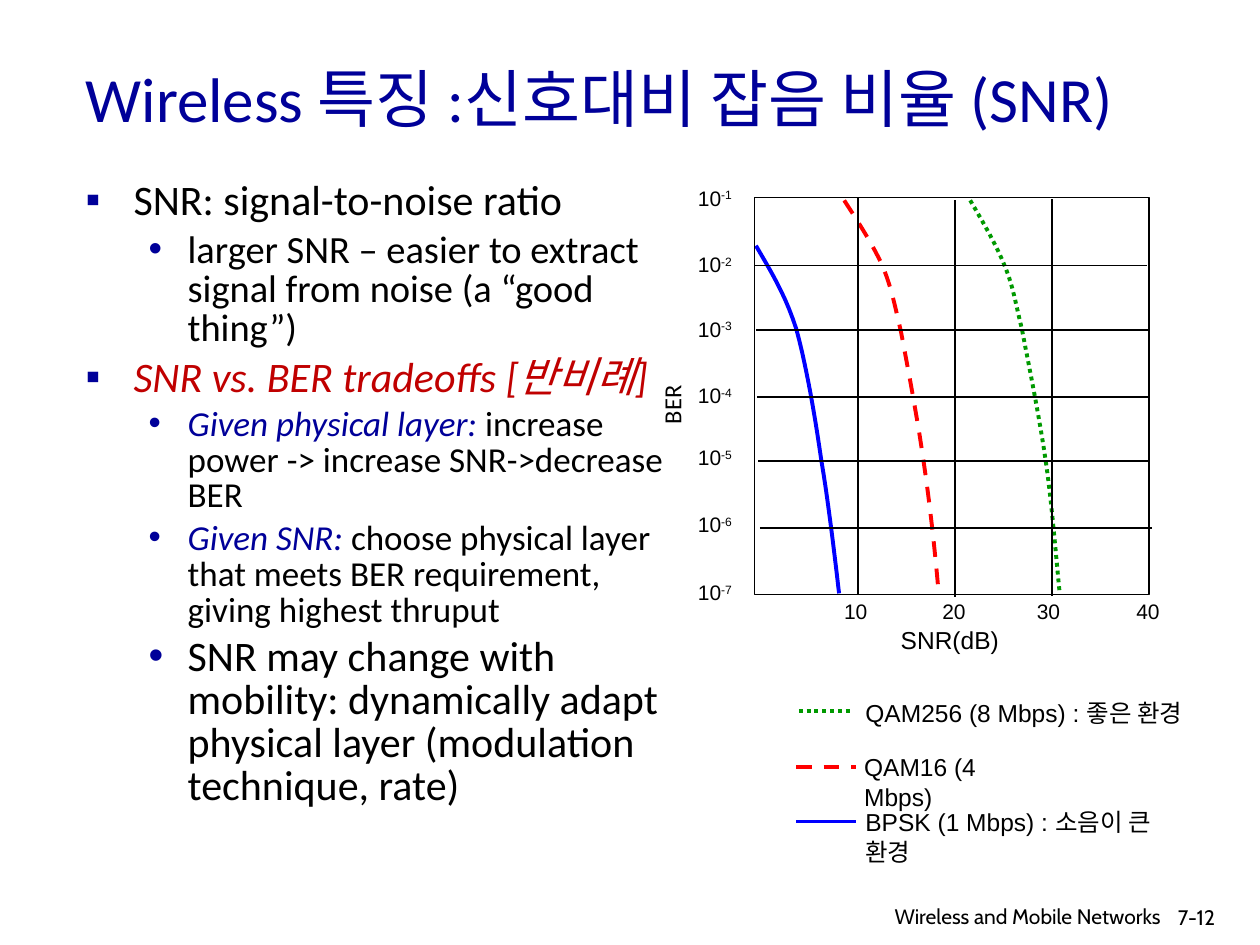
import pptx
import pptx.util
import pptx.dml.color
import pptx.enum.dml
import pptx.enum.shapes
import pptx.enum.text
import pptx.oxml
import pptx.oxml.ns
from lxml import etree

Inches, Pt = pptx.util.Inches, pptx.util.Pt
RGB = pptx.dml.color.RGBColor
DASH = pptx.enum.dml.MSO_LINE
ALIGN = pptx.enum.text.PP_ALIGN
FIT = pptx.enum.text.MSO_AUTO_SIZE
NAVY, BLACK, CRIMSON = RGB(0, 0, 0x99), RGB(0, 0, 0), RGB(0xC0, 0, 0)
BLUE, RED, GREEN = RGB(0, 0, 0xFF), RGB(0xFF, 0, 0), RGB(0, 0x99, 0)

TITLE = "Wireless 특징 :신호대비 잡음 비율 (SNR)"
# level, size, runs of (text, colour, italic)
BODY = [
    (0, 24, [("SNR: signal-to-noise ratio", BLACK, False)]),
    (1, 22, [("larger SNR – easier to extract signal from noise "
              "(a “good thing”)", BLACK, False)]),
    (0, 24, [("SNR vs. BER tradeoffs [반비례]", CRIMSON, True)]),
    (1, 20, [("Given physical layer:", NAVY, True),
             (" increase power -> increase SNR->decrease BER", BLACK, False)]),
    (1, 20, [("Given SNR:", NAVY, True),
             (" choose physical layer that meets BER requirement, "
              "giving highest thruput", BLACK, False)]),
    (1, 24, [("SNR may change with mobility: dynamically adapt physical "
              "layer (modulation technique, rate)", BLACK, False)]),
]
LEVELS = [("▪", 0.38, 0.38), ("•", 0.81, 0.31)]  # bullet, margin, hang

# Bezier points: a start, then two controls and an end per segment
CURVES = [
    (BLUE, None, [(6, 1.95), (6.11, 2.14), (6.23, 2.33), (6.32, 2.61),
                  (6.4, 2.9), (6.47, 3.31), (6.52, 3.66),
                  (6.58, 4.01), (6.64, 4.54), (6.66, 4.71)]),
    (RED, DASH.DASH, [(6.7, 1.59), (6.81, 1.76), (6.92, 1.93), (7, 2.1),
                      (7.07, 2.27), (7.09, 2.37), (7.15, 2.63),
                      (7.2, 2.89), (7.28, 3.31), (7.33, 3.66),
                      (7.38, 4), (7.42, 4.36), (7.45, 4.71)]),
    (GREEN, DASH.ROUND_DOT, [(7.7, 1.59), (7.8, 1.76), (7.9, 1.93), (7.97, 2.1),
                             (8.04, 2.27), (8.05, 2.36), (8.11, 2.61),
                             (8.16, 2.87), (8.25, 3.31), (8.3, 3.66),
                             (8.35, 4), (8.39, 4.52), (8.41, 4.7)]),
]
PLOT = (5.99, 1.57, 3.13, 3.15)
ROWS = [2.11, 2.62, 3.15, 3.66, 4.19]
COLS = [(6.81, 1.57), (7.58, 1.59), (8.35, 1.58)]
TICKS = [("10", 6.6), ("20", 7.38), ("30", 8.13), ("40", 8.92)]
POWERS = [("-1", 1.42), ("-2", 1.95), ("-3", 2.46), ("-4", 2.99),
          ("-5", 3.48), ("-6", 4.01), ("-7", 4.55)]
# text, box, colour, dash, line (left, right, y)
LEGEND = [
    ("QAM256 (8 Mbps) : 좋은 환경", (6.77, 5.49, 3.1, 0.33),
     GREEN, DASH.ROUND_DOT, (6.34, 6.77, 5.64)),
    ("QAM16 (4 Mbps)", (6.76, 5.92, 1.6, 0.33),
     RED, DASH.DASH, (6.32, 6.79, 6.09)),
    ("BPSK (1 Mbps) : 소음이 큰 환경", (6.77, 6.36, 2.76, 0.57),
     BLUE, None, (6.32, 6.79, 6.52)),
]

deck = pptx.Presentation()
deck.slide_width, deck.slide_height = Inches(10), Inches(7.5)
slide = deck.slides.add_slide(deck.slide_layouts[1])
shapes = slide.shapes


def place(shape, box):
    shape.left, shape.top, shape.width, shape.height = map(Inches, box)


def write(para, text, size, face="Arial", color=BLACK, slant=False):
    run = para.add_run()
    run.text = text
    font = run.font
    font.size, font.name, font.italic = Pt(size), face, slant
    font.color.rgb = color
    return run


def label(text, box, size, face="Arial", wrap=False, align=ALIGN.LEFT):
    shape = shapes.add_textbox(*map(Inches, box))
    shape.text_frame.word_wrap = wrap
    para = shape.text_frame.paragraphs[0]
    para.alignment = align
    write(para, text, size, face)
    return shape


def stroke(shape, color, width, dash=None):
    shape.line.color.rgb = color
    shape.line.width = Pt(width)
    if dash:
        shape.line.dash_style = dash


def rule(x1, y1, x2, y2, color=BLACK, width=0.75, dash=None):
    line = shapes.add_connector(pptx.enum.shapes.MSO_CONNECTOR.STRAIGHT,
                                *map(Inches, (x1, y1, x2, y2)))
    stroke(line, color, width, dash)
    props = line._element.spPr
    etree.SubElement(props, pptx.oxml.ns.qn("a:effectLst"))


def bullet(para, mark, margin, hang):
    props = para._p.get_or_add_pPr()
    props.set("marL", str(Inches(margin)))
    props.set("indent", str(-Inches(hang)))
    names = pptx.oxml.ns.nsdecls("a")
    for xml in (f'<a:buClr {names}><a:srgbClr val="{NAVY}"/></a:buClr>',
                f'<a:buFont {names} typeface="Arial"/>',
                f'<a:buChar {names} char="{mark}"/>'):
        props.append(pptx.oxml.parse_xml(xml))


def sample(knots, steps=10):
    """Return points along a chain of cubic Bezier segments."""
    points = [knots[0]]
    for i in range(0, len(knots) - 1, 3):
        for k in range(1, steps + 1):
            t = k / steps
            u = 1 - t
            parts = (u**3, 3 * u * u * t, 3 * u * t * t, t**3)
            points.append(tuple(sum(w * p[axis] for w, p in zip(parts, knots[i:i + 4]))
                                for axis in (0, 1)))
    return [(Inches(x), Inches(y)) for x, y in points]


# Title and list
title, body = shapes.title, slide.placeholders[1]
place(title, (0.58, 0.15, 9.29, 1.25))
place(body, (0.58, 1.39, 4.8, 5.85))
for holder in (title, body):
    holder.text_frame.auto_size = FIT.NONE
title.text_frame.vertical_anchor = pptx.enum.text.MSO_ANCHOR.MIDDLE
head = title.text_frame.paragraphs[0]
head.alignment = ALIGN.LEFT
write(head, TITLE, 36, "Calibri", NAVY)
frame = body.text_frame
for i, (level, size, runs) in enumerate(BODY):
    para = frame.add_paragraph() if i else frame.paragraphs[0]
    para.level, para.line_spacing = level, 0.85
    bullet(para, *LEVELS[level])
    for text, color, slant in runs:
        write(para, text, size, "Calibri", color, slant)

# Plot
for color, dash, knots in CURVES:
    points = sample(knots)
    path = shapes.build_freeform(*points[0])
    path.add_line_segments(points[1:], close=False)
    curve = path.convert_to_shape()
    curve.shadow.inherit = False
    curve.fill.background()
    stroke(curve, color, 2.25, dash)
plot = shapes.add_shape(pptx.enum.shapes.MSO_SHAPE.RECTANGLE, *map(Inches, PLOT))
plot.shadow.inherit = False
plot.fill.background()
stroke(plot, BLACK, 0.75)
for i, y in enumerate(ROWS):
    x = PLOT[0] + 0.01 * i
    rule(x, y, x + 3.11, y)
for x, y in COLS:
    rule(x, y, x, y + PLOT[3])
for text, x in TICKS:
    label(text, (x, 4.7, 0.39, 0.3), 12)
for power, y in POWERS:
    tick = label("10", (5.44, y, 0.48, 0.3), 12)
    high = write(tick.text_frame.paragraphs[0], power, 12)
    high.font._element.set("baseline", "30000")
label("SNR(dB)", (7.05, 4.91, 0.98, 0.33), 14)
label("BER", (5.07, 3.03, 0.53, 0.34), 14, "Calibri").rotation = 270

# Legend and footer
for text, box, color, dash, (left, right, y) in LEGEND:
    rule(left, y, right, y, color, 2.25, dash)
    label(text, box, 14, wrap=True)
label("7-12", (9.25, 7.13, 0.75, 0.3), 12, "Cabin", True)
label("Wireless and Mobile Networks ", (6.4, 7.12, 2.95, 0.28), 12, "Cabin",
      True, ALIGN.RIGHT)

deck.save("out.pptx")
